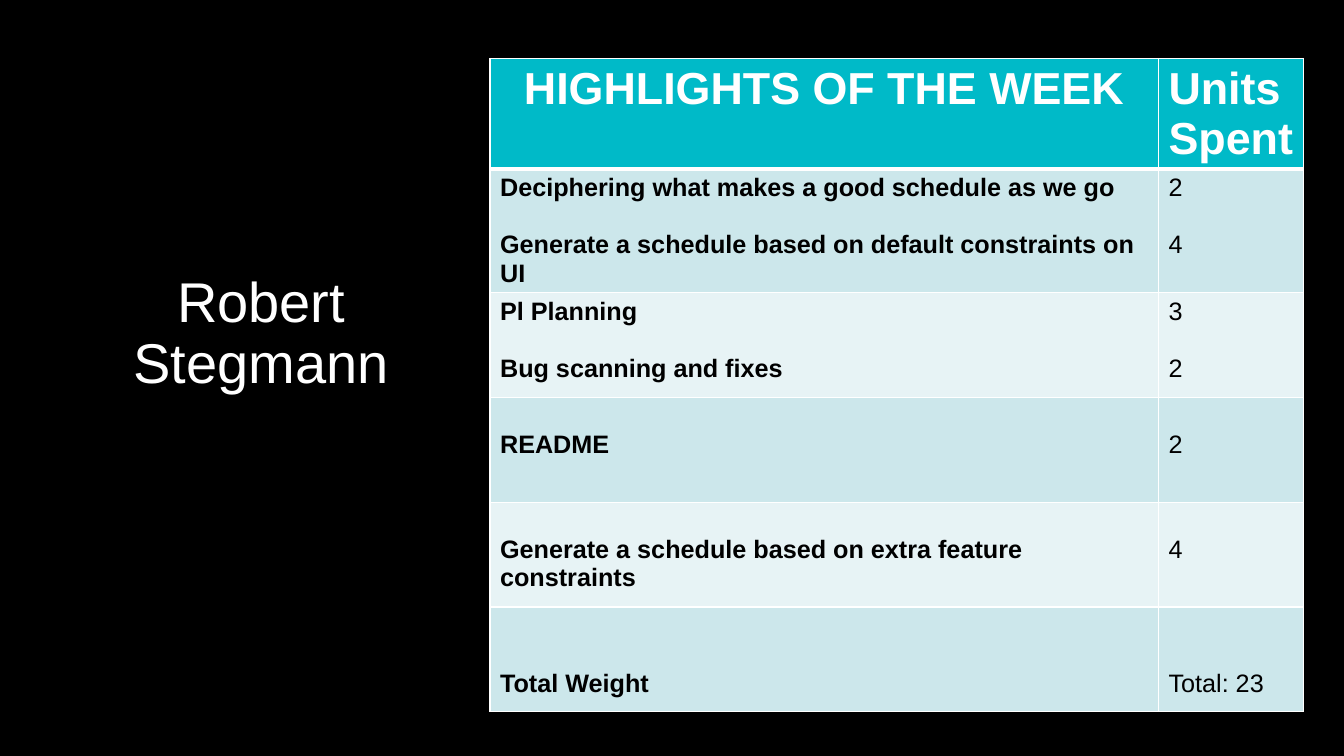
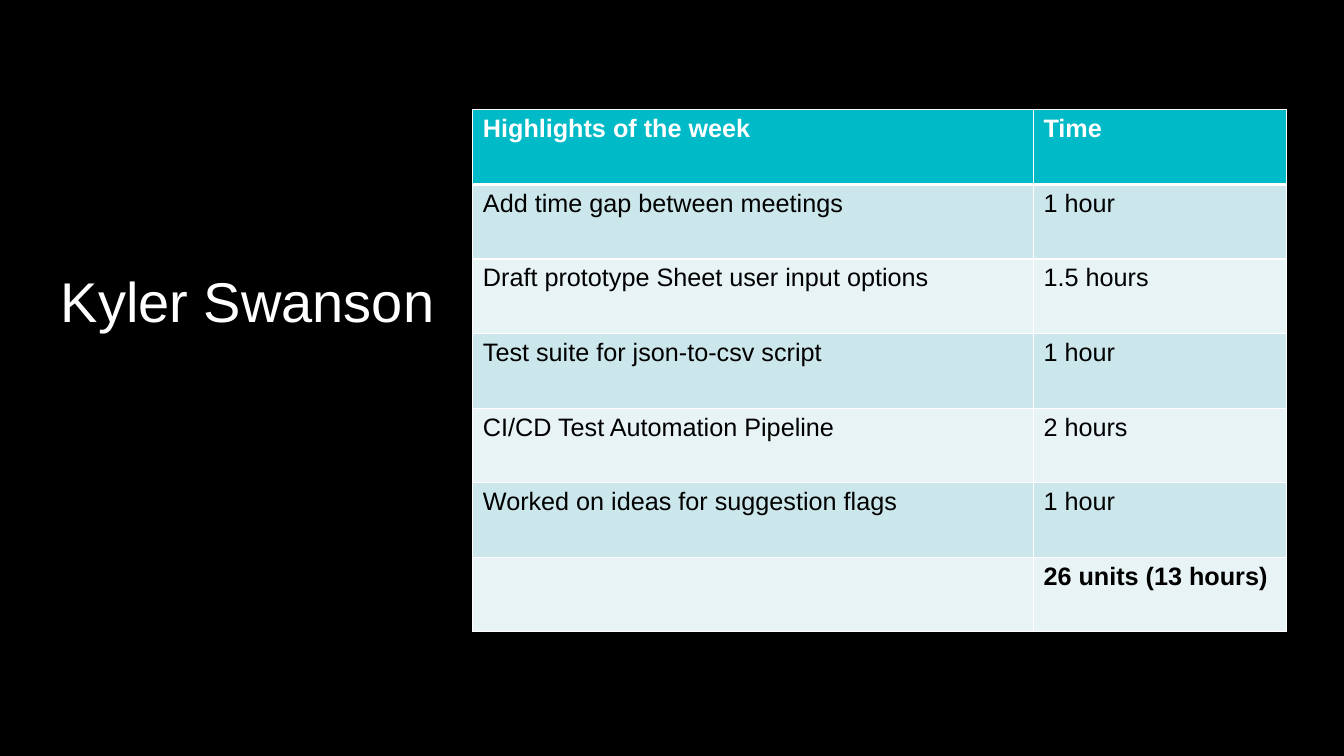
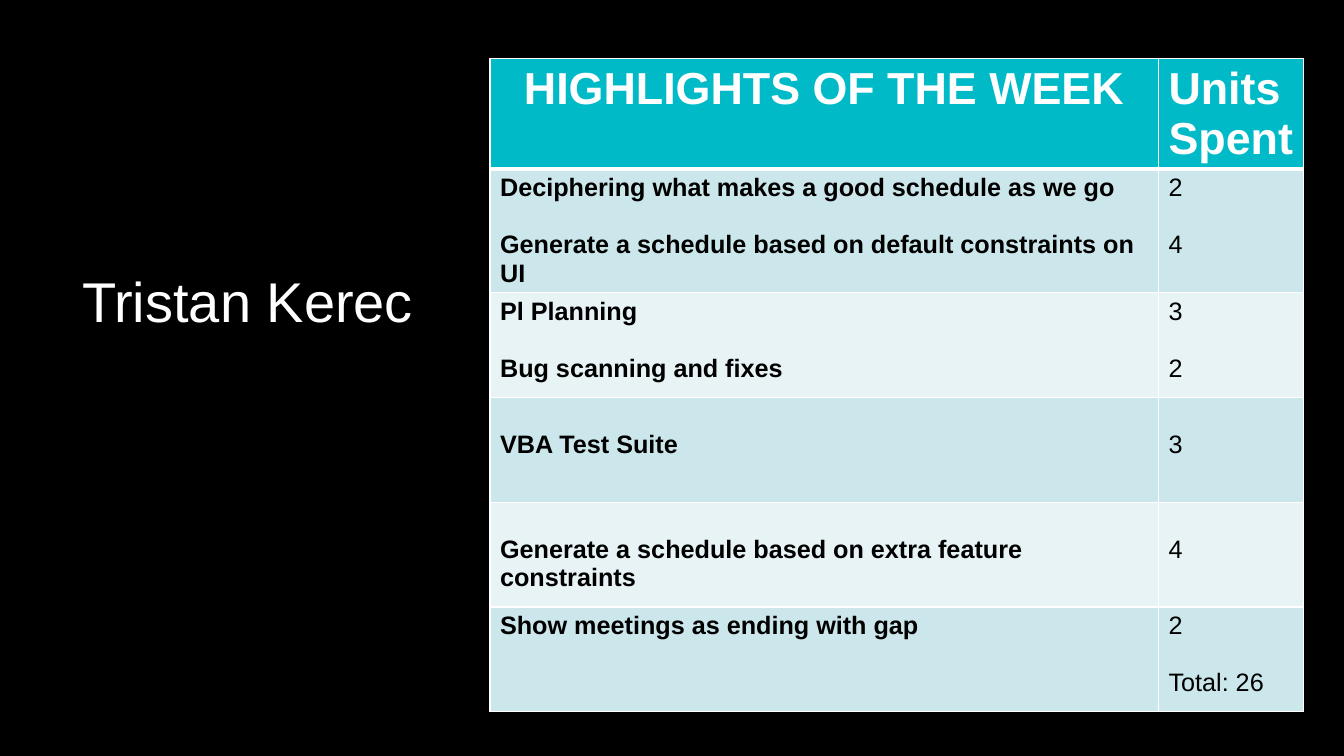
"""Builds three weekly highlight slides, each a name beside a table of work."""
from dataclasses import dataclass

from lxml import etree
from pptx import Presentation, util as u
from pptx.dml import color
from pptx.enum import text
from pptx.oxml import ns


@dataclass(frozen=True)
class Theme:
    font: str = "Arial"
    background: str = "000000"
    light: str = "FFFFFF"
    dark: str = "000000"
    header: str = "00BAC8"
    bands: tuple = ("CCE7EB", "E7F3F5")
    title_size: float = 40
    header_size: float = 32
    body_size: float = 18
    line_gap: float = 20.5
    thin_border: float = 1
    thick_border: float = 3


@dataclass(frozen=True)
class Entry:
    task: str
    amount: str
    lead_lines: int = 0
    bold: tuple = (True, False)


@dataclass(frozen=True)
class Layout:
    left: float
    top: float
    columns: tuple
    row_height: float
    header_size: float
    header_align: text.PP_ALIGN


THEME = Theme()
CENTER, LEFT = text.PP_ALIGN.CENTER, text.PP_ALIGN.LEFT
UNITS_LAYOUT = Layout(4.86, 0.58, (6.63, 1.44), 1.04, THEME.header_size, CENTER)
TIME_LAYOUT = Layout(4.69, 1.09, (5.56, 2.51), 0.74, THEME.body_size, LEFT)
UNITS_HEADER = ("HIGHLIGHTS OF THE WEEK", "Units\nSpent")
PLAIN = (False, False)

SHARED_WORK = [
    Entry("Deciphering what makes a good schedule as we go\n"
          "Generate a schedule based on default constraints on UI", "2\n4"),
    Entry("Pl Planning\nBug scanning and fixes", "3\n2"),
]
EXTRA_FEATURES = Entry("Generate a schedule based on extra feature constraints", "4", 1)
ROBERT_WORK = [
    *SHARED_WORK,
    Entry("README", "2", 1),
    EXTRA_FEATURES,
    Entry("Total Weight", "Total: 23", 2),
]
KYLER_WORK = [
    Entry("Add time gap between meetings", "1 hour", bold=PLAIN),
    Entry("Draft prototype Sheet user input options", "1.5 hours", bold=PLAIN),
    Entry("Test suite for json-to-csv script", "1 hour", bold=PLAIN),
    Entry("CI/CD Test Automation Pipeline", "2 hours", bold=PLAIN),
    Entry("Worked on ideas for suggestion flags", "1 hour", bold=PLAIN),
    Entry("", "26 units (13 hours)", bold=(False, True)),
]
TRISTAN_WORK = [
    *SHARED_WORK,
    Entry("VBA Test Suite", "3", 1),
    EXTRA_FEATURES,
    Entry("Show meetings as ending with gap", "2\nTotal: 26"),
]


def style_paragraph(paragraph, size, ink, bold=False, align=LEFT):
    paragraph.alignment = align
    for run in paragraph.runs:
        run.font.name = THEME.font
        run.font.size = u.Pt(size)
        run.font.bold = bold
        run.font.color.rgb = color.RGBColor.from_string(ink)


def set_borders(cell, top, bottom):
    properties = cell._tc.get_or_add_tcPr()
    thin = THEME.thin_border
    for side, width in (("L", thin), ("R", thin), ("T", top), ("B", bottom)):
        line = etree.SubElement(properties, ns.qn(f"a:ln{side}"), w=str(u.Pt(width)))
        fill = etree.SubElement(line, ns.qn("a:solidFill"))
        etree.SubElement(fill, ns.qn("a:srgbClr"), val=THEME.light)


def fill_cell(cell, content, fill, size, ink, bold, align=LEFT, gap=0):
    cell.text_frame.text = content
    for index, paragraph in enumerate(cell.text_frame.paragraphs):
        style_paragraph(paragraph, size, ink, bold, align)
        if index:
            paragraph.space_before = u.Pt(gap)
    cell.fill.solid()
    cell.fill.fore_color.rgb = color.RGBColor.from_string(fill)


def add_title(slide, name, width):
    title = slide.shapes.title
    title.left, title.top = u.Inches(0.57), u.Inches(2.72)
    title.width, title.height = u.Inches(width), u.Inches(0.75)
    frame = title.text_frame
    frame.text = name
    frame.word_wrap = True
    frame.auto_size = text.MSO_AUTO_SIZE.NONE
    frame.vertical_anchor = text.MSO_ANCHOR.TOP
    frame.margin_left = frame.margin_right = frame.margin_top = frame.margin_bottom = 0
    paragraph = frame.paragraphs[0]
    paragraph.line_spacing = 0.9
    style_paragraph(paragraph, THEME.title_size, THEME.light, align=CENTER)


def add_work_table(slide, layout, header, entries):
    row_count = len(entries) + 1
    table = slide.shapes.add_table(
        row_count, len(layout.columns), u.Inches(layout.left), u.Inches(layout.top),
        u.Inches(sum(layout.columns)), u.Inches(layout.row_height * row_count)).table
    for column, width in zip(table.columns, layout.columns):
        column.width = u.Inches(width)
    for row in table.rows:
        row.height = u.Inches(layout.row_height)

    thin, thick = THEME.thin_border, THEME.thick_border
    for index, (label, align) in enumerate(zip(header, (layout.header_align, LEFT))):
        cell = table.cell(0, index)
        set_borders(cell, thin, thick)
        fill_cell(cell, label, THEME.header, layout.header_size, THEME.light, True, align)
    for row, entry in enumerate(entries, start=1):
        band = THEME.bands[(row - 1) % len(THEME.bands)]
        for index, content in enumerate((entry.task, entry.amount)):
            cell = table.cell(row, index)
            set_borders(cell, thick if row == 1 else thin, thin)
            fill_cell(cell, content, band, THEME.body_size, THEME.dark,
                      entry.bold[index], gap=THEME.line_gap)
            cell.margin_top = u.Inches(0.05) + u.Pt(THEME.line_gap * entry.lead_lines)


def add_highlights(presentation, name, title_width, layout, header, entries):
    slide = presentation.slides.add_slide(presentation.slide_layouts.get_by_name("Title Only"))
    add_title(slide, name, title_width)
    add_work_table(slide, layout, header, entries)


def main():
    presentation = Presentation()
    presentation.slide_width, presentation.slide_height = u.Inches(13.33), u.Inches(7.5)
    background = presentation.slide_master.background.fill
    background.solid()
    background.fore_color.rgb = color.RGBColor.from_string(THEME.background)

    add_highlights(presentation, "Robert Stegmann", 4.04,
                   UNITS_LAYOUT, UNITS_HEADER, ROBERT_WORK)
    add_highlights(presentation, "Kyler\u00a0Swanson", 3.77,
                   TIME_LAYOUT, ("Highlights of the week", "Time"), KYLER_WORK)
    add_highlights(presentation, "Tristan Kerec", 3.77,
                   UNITS_LAYOUT, UNITS_HEADER, TRISTAN_WORK)
    presentation.save("out.pptx")


main()
